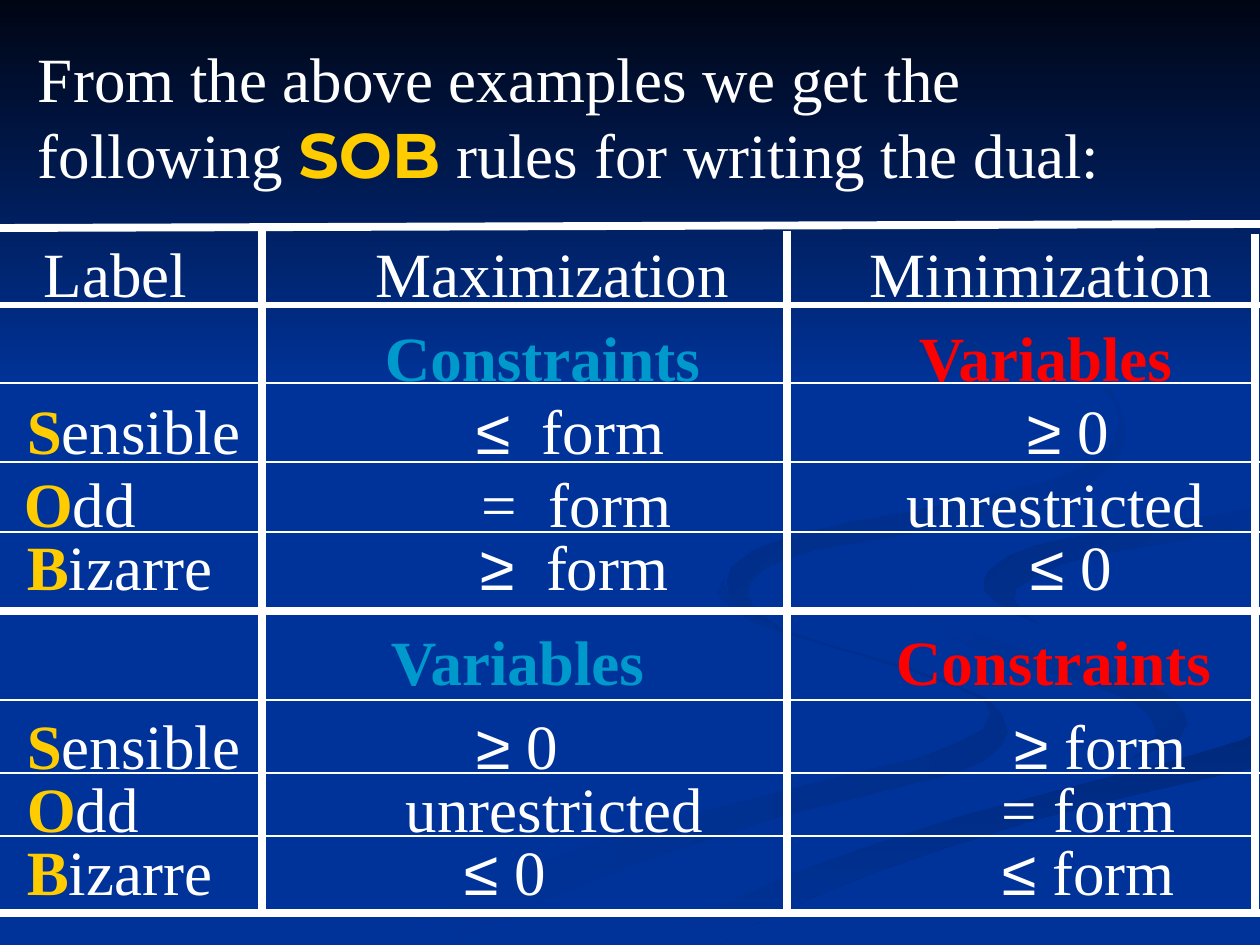
import itertools

import pptx
import pptx.dml.color
import pptx.enum.shapes
import pptx.enum.text
import pptx.oxml
import pptx.oxml.ns
import pptx.util

RGBColor = pptx.dml.color.RGBColor
WHITE = RGBColor(0xFF, 0xFF, 0xFF)
GOLD = RGBColor(0xFF, 0xCC, 0x00)
TEAL = RGBColor(0x00, 0x99, 0xCC)
RED = RGBColor(0xFF, 0x00, 0x00)
BLUE = RGBColor(0x00, 0x33, 0x99)
NIGHT = RGBColor(0x00, 0x05, 0x14)
SHADE = RGBColor(0x00, 0x2E, 0x8A)
DEEP = RGBColor(0x00, 0x29, 0x7C)
DUSK = RGBColor(0x00, 0x2C, 0x85)
HAZE = RGBColor(0x00, 0x2B, 0x81)

SERIF = "Times New Roman"
W, H = 1260, 945
PAD = 13
ROW_H = 88

LEFT_SWIRL = [
    (984, 697), (951, 683), (901, 665), (833, 646), (789, 632), (748, 611), (730, 596),
    (723, 585), (725, 578), (718, 590), (718, 595), (732, 609), (758, 624), (795, 636),
    (856, 654), (917, 673), (960, 689), (984, 701), (990, 713), (983, 729), (956, 743),
    (916, 759), (862, 771), (776, 793), (679, 818), (577, 849), (474, 891), (378, 944),
    (455, 944), (543, 900), (629, 866), (711, 838), (785, 815), (852, 799), (908, 785),
    (953, 774), (983, 762), (1002, 746), (1008, 732), (1002, 714), (990, 701)]
INNER_SWIRL = [
    (1188, 718), (1172, 697), (1140, 680), (1096, 668), (1046, 654), (998, 641), (955, 627),
    (924, 609), (916, 597), (912, 585), (912, 592), (920, 604), (931, 622), (951, 636),
    (984, 653), (1027, 668), (1076, 679), (1109, 692), (1134, 702), (1148, 714), (1157, 732),
    (1148, 747), (1126, 762), (1165, 747), (1181, 738), (1188, 726)]
LOWER_SWEEP = [
    (654, 941), (634, 944), (719, 944), (740, 932), (774, 915), (818, 895), (876, 872),
    (948, 847), (1034, 820), (1138, 794), (1257, 767), (1257, 732), (1230, 743), (1179, 759),
    (1092, 780), (1004, 804), (963, 815), (877, 843), (794, 873), (717, 906)]
MAIN_RIBBON = [
    (914, 585), (917, 597), (939, 617), (977, 634), (1023, 649), (1072, 661), (1120, 673),
    (1159, 689), (1183, 706), (1188, 724), (1179, 740), (1158, 752), (1124, 762), (1062, 779),
    (983, 799), (887, 825), (780, 862), (663, 912), (601, 944), (634, 944), (654, 941),
    (718, 906), (794, 873), (877, 843), (964, 815), (1093, 781), (1179, 759), (1242, 740),
    (1259, 732), (1259, 678), (1208, 669), (1139, 654), (1068, 634), (1029, 620), (1000, 605),
    (985, 588), (990, 571), (1008, 557), (1036, 547), (1090, 534), (1176, 523), (1259, 507),
    (1259, 488), (1212, 498), (1159, 505), (1072, 518), (993, 532), (951, 544), (922, 562),
    (914, 578)]
RIGHT_EDGE = [
    (984, 580), (985, 591), (997, 602), (1016, 614), (1041, 625), (1023, 614), (1014, 600),
    (1016, 589), (1032, 578), (1062, 564), (1106, 553), (1179, 541), (1223, 533), (1257, 529),
    (1257, 507), (1218, 515), (1131, 527), (1070, 538), (1034, 546), (1007, 557), (989, 571)]
UPPER_SWIRL = [
    (861, 542), (931, 530), (990, 519), (1039, 507), (1077, 493), (1104, 476), (1120, 456),
    (1126, 433), (1121, 408), (1109, 387), (1089, 367), (1062, 347), (1021, 323), (994, 309),
    (960, 294), (1014, 320), (1066, 352), (1096, 377), (1115, 403), (1120, 422), (1111, 446),
    (1085, 466), (1046, 481), (997, 494), (924, 509), (852, 522), (788, 537), (752, 551),
    (731, 568), (727, 582), (731, 597), (743, 610), (784, 630), (765, 617), (752, 605),
    (747, 592), (751, 581), (764, 569), (786, 559), (818, 549)]

SWIRLS = [
    (LEFT_SWIRL, SHADE, BLUE, 180), (INNER_SWIRL, SHADE, BLUE, 135),
    (LOWER_SWEEP, DEEP, BLUE, 270), (MAIN_RIBBON, BLUE, BLUE, 0),
    (RIGHT_EDGE, BLUE, DUSK, 135), (UPPER_SWIRL, BLUE, HAZE, 135)]

HEADINGS = [
    (221, [(44, "Label", WHITE), (376, "Maximization", WHITE), (870, "Minimization", WHITE)]),
    (305, [(385, "Constraints", TEAL), (919, "Variables", RED)]),
    (609, [(391, "Variables", TEAL), (896, "Constraints", RED)])]
RULES = [
    (378, 27, "Sensible", (476, "≤  form"), (1027, "≥ 0")),
    (451, 24, "Odd", (482, "=  form"), (907, "unrestricted")),
    (514, 27, "Bizarre", (480, "≥  form"), (1030, "≤ 0")),
    (693, 27, "Sensible", (476, "≥ 0"), (1014, "≥ form")),
    (756, 27, "Odd", (406, "unrestricted"), (1002, "= form")),
    (819, 27, "Bizarre", (464, "≤ 0"), (1002, "≤ form"))]

LINES = [
    (0, 305, W, 305, 3), (0, 611, W, 611, 4.5), (0, 913, W, 913, 4.5),
    (262, 231, 262, 913, 4.5), (787, 231, 787, 913, 4.5),
    (0, 228, W, 224, 4.5), (1255, 234, 1255, 910, 4.5),
    (0, 462, W, 462, 0.75), (0, 532, W, 532, 0.75), (0, 773, W, 773, 0.75),
    (0, 836, 1255, 836, 0.75), (0, 383, 1255, 383, 0.75), (0, 700, 1255, 700, 0.75)]


def add_run(p, text, *, size=36, font=SERIF, color=WHITE, bold=False):
    r = p.add_run()
    r.text = text
    r.font.size = pptx.util.Pt(size)
    r.font.name = font
    r.font.bold = bold
    r.font.color.rgb = color


class Deck:
    SCALE = 914400 / 126

    def __init__(self):
        self.prs = pptx.Presentation()
        self.prs.slide_width, self.prs.slide_height = self.px(W, H)
        self.s = self.prs.slides.add_slide(self.prs.slide_layouts[5])
        self.s.background.fill.solid()
        self.s.background.fill.fore_color.rgb = BLUE

    def px(self, *lengths):
        return [pptx.util.Emu(round(n * self.SCALE)) for n in lengths]

    def paint(self, sp, start, end, angle):
        sp.shadow.inherit = False
        sp.line.fill.background()
        if start == end:
            sp.fill.solid()
            sp.fill.fore_color.rgb = start
            return
        sp.fill.gradient()
        sp.fill.gradient_angle = angle
        for stop, position, color in zip(sp.fill.gradient_stops, (0, 1), (start, end)):
            stop.position = position
            stop.color.rgb = color

    def outline(self, points, start, end, angle):
        builder = self.s.shapes.build_freeform(*points[0], scale=self.SCALE)
        builder.add_line_segments(points[1:], close=True)
        self.paint(builder.convert_to_shape(), start, end, angle)

    def band(self, x, y, w, h, start, end, angle):
        kind = pptx.enum.shapes.MSO_SHAPE.RECTANGLE
        self.paint(self.s.shapes.add_shape(kind, *self.px(x, y, w, h)), start, end, angle)

    def frame(self, sp, inset):
        tf = sp.text_frame
        tf.word_wrap = True
        tf.auto_size = pptx.enum.text.MSO_AUTO_SIZE.NONE
        tf.vertical_anchor = pptx.enum.text.MSO_ANCHOR.TOP
        tf.margin_left, tf.margin_top, tf.margin_right, tf.margin_bottom = self.px(inset, 14, PAD, 0)
        p = tf.paragraphs[0]
        p.alignment = pptx.enum.text.PP_ALIGN.LEFT
        return p

    def title(self, x, y, w, h):
        sp = self.s.shapes.title
        sp.left, sp.top, sp.width, sp.height = self.px(x, y, w, h)
        sp._element.getparent().append(sp._element)
        return self.frame(sp, PAD)

    def row(self, y, start, stops):
        p = self.frame(self.s.shapes.add_textbox(*self.px(0, y, W, ROW_H)), start)
        tabs = pptx.oxml.parse_xml(f"<a:tabLst {pptx.oxml.ns.nsdecls('a')}/>")
        for position in self.px(*(x - start for x in stops)):
            tab = tabs.makeelement(pptx.oxml.ns.qn("a:tab"), {"pos": str(position), "algn": "l"})
            tabs.append(tab)
        p._p.get_or_add_pPr().append(tabs)
        return p

    def line(self, x1, y1, x2, y2, weight):
        kind = pptx.enum.shapes.MSO_CONNECTOR.STRAIGHT
        c = self.s.shapes.add_connector(kind, *self.px(x1, y1, x2, y2))
        c.line.color.rgb = WHITE
        c.line.width = pptx.util.Pt(weight)
        effects = pptx.oxml.parse_xml(f"<a:effectLst {pptx.oxml.ns.nsdecls('a')}/>")
        c._element.spPr.append(effects)


def main():
    deck = Deck()
    for swirl in SWIRLS:
        deck.outline(*swirl)
    deck.band(0, 0, W, 388, NIGHT, BLUE, 270)

    p = deck.title(25, 26, 1176, 164)
    add_run(p, "From the above examples we get the following ")
    add_run(p, "SOB", font="Montserrat", color=GOLD, bold=True)
    add_run(p, " rules for writing the dual:")

    for y, cells in HEADINGS:
        start = min(cells[0][0], 44)
        p = deck.row(y, start, [x for x, _, _ in cells if x > start])
        for x, text, color in cells:
            add_run(p, "\t" + text if x > start else text, color=color, bold=color != WHITE)

    for y, start, label, *cells in RULES:
        p = deck.row(y, start, [x for x, _ in cells])
        add_run(p, label[0], color=GOLD, bold=True)
        rest = label[1:] + "".join("\t" + text for _, text in cells)
        for is_sign, chars in itertools.groupby(rest, lambda c: c in "≤≥"):
            add_run(p, "".join(chars), font="Arial" if is_sign else SERIF)

    for line in LINES:
        deck.line(*line)
    deck.prs.save("out.pptx")


if __name__ == "__main__":
    main()
